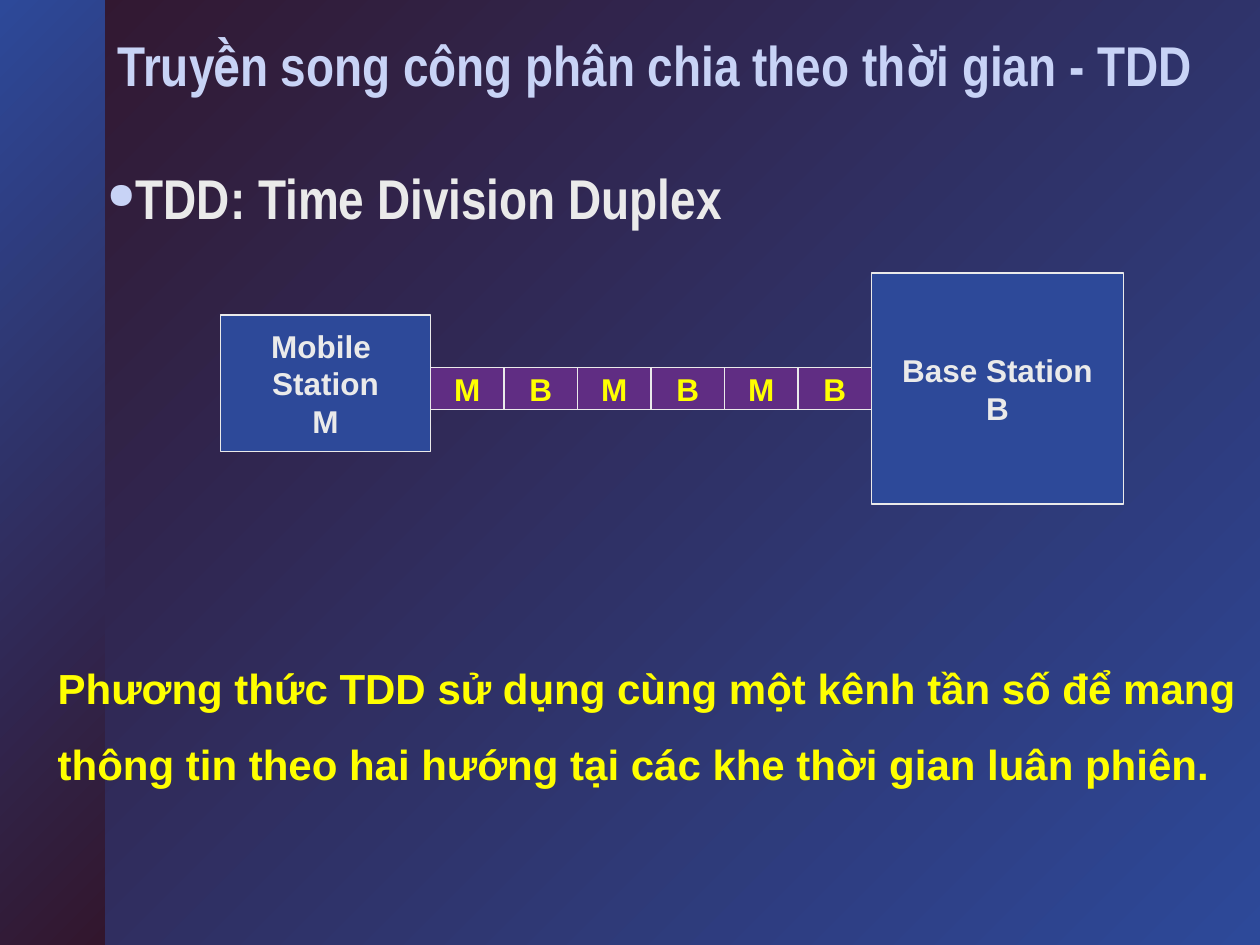
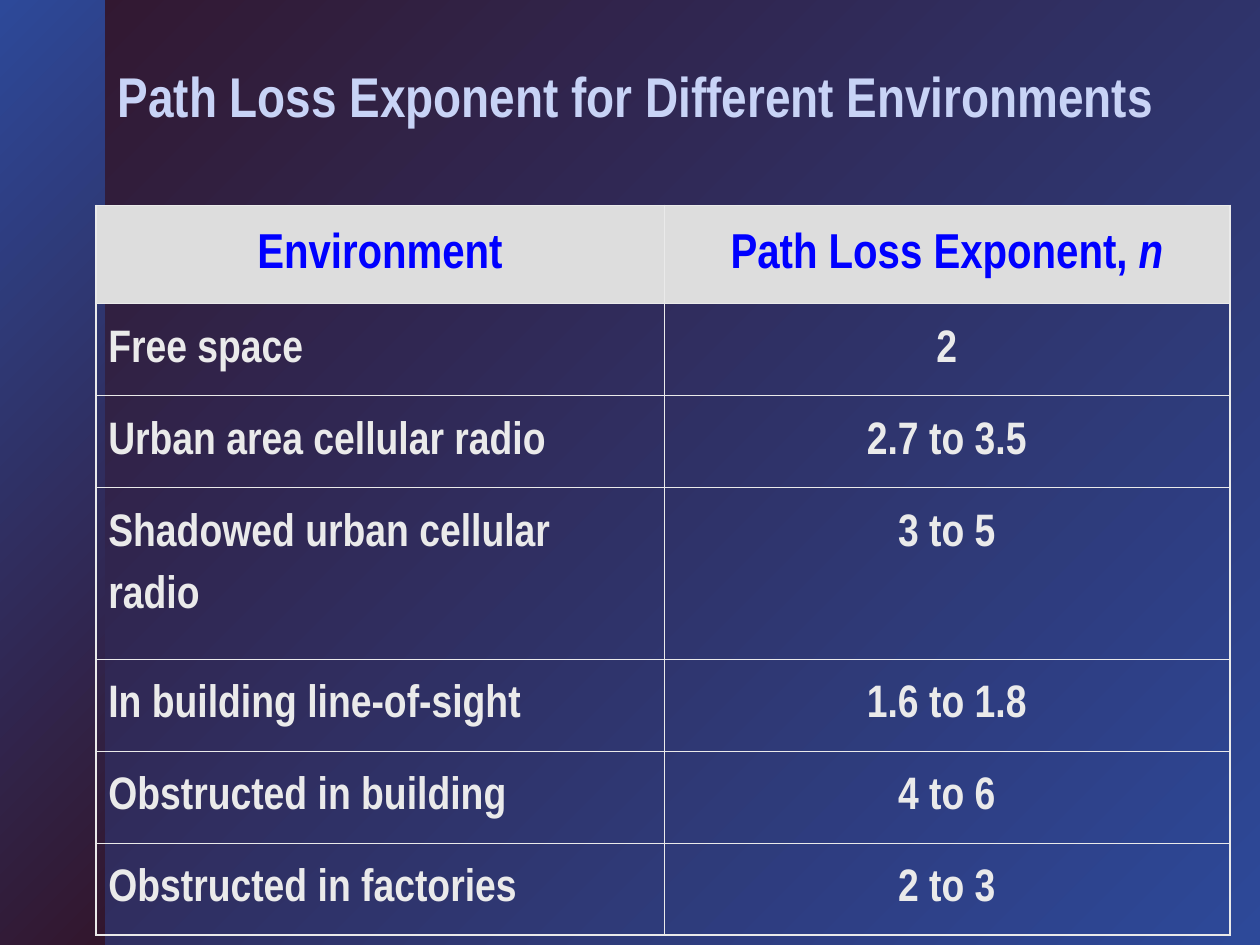
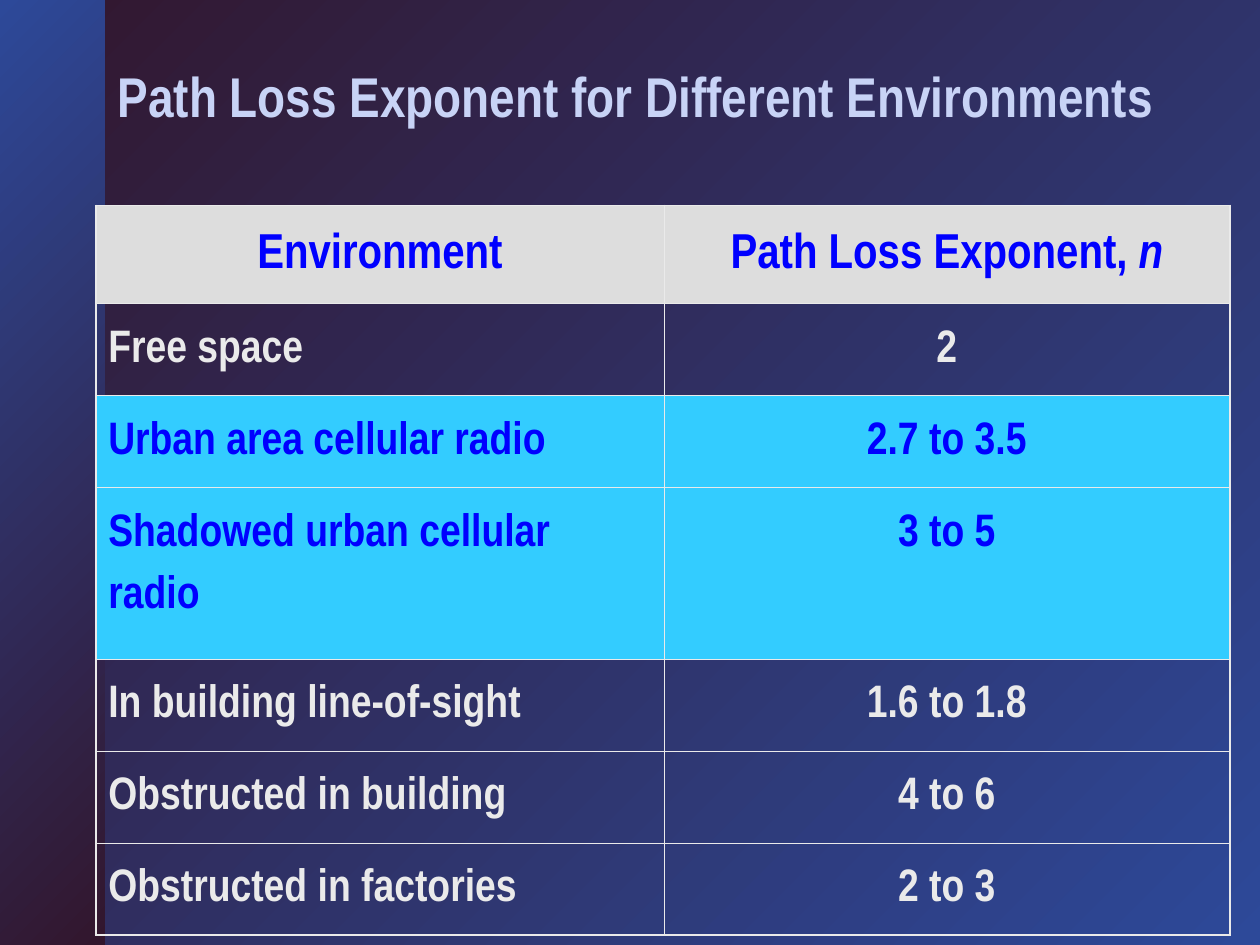
from dataclasses import dataclass

from lxml.etree import SubElement
from pptx import Presentation
from pptx.dml.color import RGBColor
from pptx.enum.shapes import MSO_SHAPE
from pptx.enum.text import MSO_ANCHOR, MSO_AUTO_SIZE, PP_ALIGN
from pptx.oxml.ns import qn
from pptx.util import Inches, Pt


@dataclass(frozen=True)
class Theme:
    blue: RGBColor = RGBColor.from_string("2D4999")
    plum: RGBColor = RGBColor.from_string("32162D")
    heading: RGBColor = RGBColor.from_string("C8D3F6")
    pale: RGBColor = RGBColor.from_string("EAEAEA")
    yellow: RGBColor = RGBColor.from_string("FFFF00")
    violet: RGBColor = RGBColor.from_string("602D83")
    header_fill: RGBColor = RGBColor.from_string("DDDDDD")
    strong_blue: RGBColor = RGBColor.from_string("0000FF")
    highlight: RGBColor = RGBColor.from_string("33CCFF")
    text_shadow: str = "123036"
    narrow: str = "Arial Narrow"
    plain: str = "Arial"
    title_size: int = 32
    header_size: int = 28
    row_size: int = 26
    caption_size: int = 24
    label_size: int = 18
    box_line: float = 0.75
    outer_border: float = 1.08
    inner_border: float = 0.45


THEME = Theme()
COLUMNS, ROWS = 120, 90
UNIT = Inches(10) // COLUMNS
TITLE_ONLY = 5

PATH_LOSS = [
    (("Environment",), ("Path Loss Exponent,", " n")),
    (("Free space",), ("2",)),
    (("Urban area cellular radio",), ("2.7 to 3.5",)),
    (("Shadowed urban cellular radio",), ("3 to 5",)),
    (("In building line-of-sight",), ("1.6 to 1.8",)),
    (("Obstructed in building",), ("4 to 6",)),
    (("Obstructed in factories",), ("2 to 3",)),
]
URBAN_ROWS = (2, 3)


def grid(*cells):
    return [round(cell * UNIT) for cell in cells]


def apply(target, formats):
    for attribute, value in formats.items():
        setattr(target, attribute, value)


def format_run(run, size, color, face, **formats):
    apply(run.font, {"size": Pt(size), "name": face, "bold": True, **formats})
    run.font.color.rgb = color


def write_lines(frame, lines, size, color, face, **formats):
    for index, line in enumerate(lines):
        paragraph = frame.paragraphs[0] if index == 0 else frame.add_paragraph()
        paragraph.text = line
        apply(paragraph, formats)
        for run in paragraph.runs:
            format_run(run, size, color, face)


def cast_text_shadow(paragraph):
    for run in paragraph.runs:
        properties = run.font._element
        effects = SubElement(properties, qn("a:effectLst"))
        shadow = SubElement(effects, qn("a:outerShdw"), dist="17961", dir="2700000")
        SubElement(shadow, qn("a:srgbClr"), val=THEME.text_shadow)
        properties.find(qn("a:solidFill")).addnext(effects)


def fill_gradient(fill, start, end):
    fill.gradient()
    fill.gradient_angle = 135
    for stop, color in zip(fill.gradient_stops, (start, end)):
        stop.color.rgb = color


def decorate_master(presentation, slide):
    master = presentation.slide_master
    fill_gradient(master.background.fill, THEME.blue, THEME.plum)
    band = slide.shapes.add_shape(MSO_SHAPE.RECTANGLE, *grid(0, 0, 10, ROWS))
    band.shadow.inherit = False
    band.line.fill.background()
    fill_gradient(band.fill, THEME.plum, THEME.blue)
    band.element.nvSpPr.cNvPr.set("id", "100")
    master.shapes.element.insert(2, band.element)


def add_titled_slide(presentation, heading, top):
    slide = presentation.slides.add_slide(presentation.slide_layouts[TITLE_ONLY])
    title = slide.shapes.title
    place = grid(10, top, COLUMNS - 10, 8)
    apply(title, dict(zip(("left", "top", "width", "height"), place)))
    apply(title.text_frame, {"vertical_anchor": MSO_ANCHOR.TOP,
                             "auto_size": MSO_AUTO_SIZE.NONE, "word_wrap": True})
    write_lines(title.text_frame, [heading], THEME.title_size, THEME.heading,
                THEME.narrow, alignment=PP_ALIGN.LEFT, line_spacing=0.9)
    cast_text_shadow(title.text_frame.paragraphs[0])
    return slide


def add_bullet(slide, statement):
    box = slide.shapes.add_textbox(*grid(9, 16, COLUMNS - 9, ROWS - 16))
    box.text_frame.word_wrap = True
    paragraph = box.text_frame.paragraphs[0]
    properties = paragraph._p.get_or_add_pPr()
    indent = Inches(0.38)
    apply(properties, {"marL": indent, "indent": -indent})
    bullet_color = SubElement(properties, qn("a:buClr"))
    SubElement(bullet_color, qn("a:srgbClr"), val=str(THEME.heading))
    SubElement(properties, qn("a:buSzPct"), val="65000")
    SubElement(properties, qn("a:buChar"), char="●")
    write_lines(box.text_frame, [statement], THEME.title_size, THEME.pale,
                THEME.narrow, line_spacing=0.85, space_after=Pt(8))
    cast_text_shadow(paragraph)


def add_block(slide, place, lines, fill, color):
    block = slide.shapes.add_shape(MSO_SHAPE.RECTANGLE, *grid(*place))
    block.shadow.inherit = False
    block.fill.solid()
    block.fill.fore_color.rgb = fill
    block.line.color.rgb = THEME.pale
    block.line.width = Pt(THEME.box_line)
    apply(block.text_frame, {"word_wrap": False, "vertical_anchor": MSO_ANCHOR.MIDDLE})
    write_lines(block.text_frame, lines, THEME.label_size, color, THEME.plain,
                alignment=PP_ALIGN.CENTER)


def add_caption(slide, lines):
    caption = slide.shapes.add_textbox(*grid(4.32, 60.12, COLUMNS - 4.32, 15.6))
    apply(caption.text_frame, {"word_wrap": False,
                               "auto_size": MSO_AUTO_SIZE.SHAPE_TO_FIT_TEXT})
    write_lines(caption.text_frame, lines, THEME.caption_size, THEME.yellow,
                THEME.plain, line_spacing=1.5)


def draw_borders(cell, outer_sides):
    properties = cell._tc.get_or_add_tcPr()
    for side in "LRTB":
        weight = THEME.outer_border if side in outer_sides else THEME.inner_border
        border = SubElement(properties, qn(f"a:ln{side}"), w=str(Pt(weight)))
        color = SubElement(border, qn("a:solidFill"))
        SubElement(color, qn("a:srgbClr"), val=str(THEME.pale))


def fill_cell(cell, fill):
    if fill is None:
        cell.fill.background()
    else:
        cell.fill.solid()
        cell.fill.fore_color.rgb = fill


def write_cell(cell, parts, size, color, centred):
    paragraph = cell.text_frame.paragraphs[0]
    apply(paragraph, {"alignment": PP_ALIGN.CENTER if centred else PP_ALIGN.LEFT,
                      "line_spacing": 1.45, "space_after": Pt(size / 4)})
    for index, part in enumerate(parts):
        run = paragraph.add_run()
        run.text = part
        format_run(run, size, color, THEME.narrow, italic=index > 0)


def row_look(row, highlighted):
    if row == 0:
        return THEME.header_size, THEME.strong_blue, THEME.header_fill
    if row in highlighted:
        return THEME.row_size, THEME.strong_blue, THEME.highlight
    return THEME.row_size, THEME.pale, None


def add_path_loss_table(slide, highlighted):
    widths = grid(54.12, 53.88)
    heights = grid(9.36, 8.76, 8.76, 16.32, 8.76, 8.76, 8.76)
    left, top = grid(9.12, 19.56)
    table = slide.shapes.add_table(len(heights), len(widths), left, top,
                                   sum(widths), sum(heights)).table
    apply(table, {"first_row": False, "horz_banding": False})
    for column, width in zip(table.columns, widths):
        column.width = width
    for row, (height, entries) in enumerate(zip(heights, PATH_LOSS)):
        table.rows[row].height = height
        size, color, fill = row_look(row, highlighted)
        for column, parts in enumerate(entries):
            cell = table.cell(row, column)
            outer_sides = "LR"[column]
            outer_sides += {0: "T", len(heights) - 1: "B"}.get(row, "")
            draw_borders(cell, outer_sides)
            fill_cell(cell, fill)
            write_cell(cell, parts, size, color, row == 0 or column == 1)


def add_duplex_diagram(slide):
    add_block(slide, (83, 26, 24, 22), ["Base Station", "B"], THEME.blue, THEME.pale)
    add_block(slide, (21, 30, 20, 13), ["Mobile \vStation", "M"], THEME.blue, THEME.pale)
    for slot, sender in enumerate("MBMBMB"):
        add_block(slide, (41 + 7 * slot, 35, 7, 4), [sender], THEME.violet, THEME.yellow)


def main():
    presentation = Presentation()
    apply(presentation, {"slide_width": COLUMNS * UNIT, "slide_height": ROWS * UNIT})

    duplex = add_titled_slide(
        presentation, "Truyền song công phân chia theo thời gian - TDD", 3)
    decorate_master(presentation, duplex)
    add_bullet(duplex, "TDD: Time Division Duplex")
    add_duplex_diagram(duplex)
    add_caption(duplex, ["Phương thức TDD sử dụng cùng một kênh tần số để mang",
                         "thông tin theo hai hướng tại các khe thời gian luân phiên."])

    for highlighted in ((), URBAN_ROWS):
        path_loss = add_titled_slide(
            presentation, "Path Loss Exponent for Different Environments", 6)
        add_path_loss_table(path_loss, highlighted)

    presentation.save("out.pptx")


if __name__ == "__main__":
    main()
